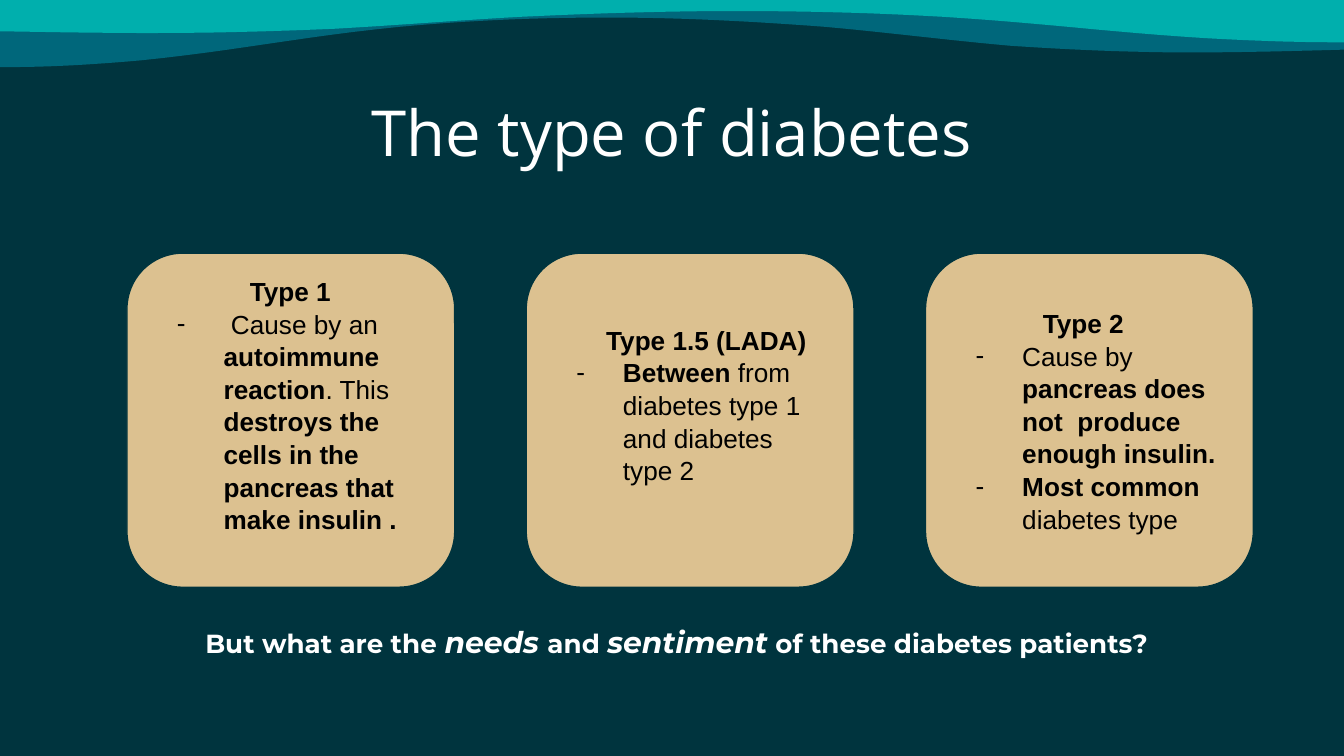
from dataclasses import dataclass

from lxml import etree
from pptx import Presentation
from pptx.dml.color import RGBColor
from pptx.enum.shapes import MSO_SHAPE
from pptx.enum.text import MSO_ANCHOR, MSO_AUTO_SIZE, PP_ALIGN
from pptx.oxml.ns import qn
from pptx.util import Pt

ROUNDED = MSO_SHAPE.ROUNDED_RECTANGLE
TOP, MIDDLE = MSO_ANCHOR.TOP, MSO_ANCHOR.MIDDLE
LEFT, CENTER = PP_ALIGN.LEFT, PP_ALIGN.CENTER
FIT_SHAPE, NO_FIT = MSO_AUTO_SIZE.SHAPE_TO_FIT_TEXT, MSO_AUTO_SIZE.NONE


@dataclass(frozen=True)
class Theme:
    """Colours, fonts and type sizes of the deck."""
    night: RGBColor = RGBColor(0x00, 0x34, 0x3E)
    ocean: RGBColor = RGBColor(0x00, 0x67, 0x7B)
    teal: RGBColor = RGBColor(0x00, 0xAF, 0xAD)
    sand: RGBColor = RGBColor(0xDC, 0xC1, 0x90)
    white: RGBColor = RGBColor(0xFF, 0xFF, 0xFF)
    black: RGBColor = RGBColor(0x00, 0x00, 0x00)
    title_font: str = "Open Sans"
    card_font: str = "Arial"
    question_font: str = "Montserrat"
    title_size: int = 34
    text_size: int = 14
    accent_size: int = 16


THEME = Theme()
PAGE_WIDTH, PAGE_HEIGHT = 720, 405
WAVE_TOP = -1.5
WAVE_START = (0, 36)
WAVE_CURVES = [
    [(29, 36), (50, 34.5), (75, 32.4)],
    [(125, 27.4), (163, 19.4), (214, 14.4)],
    [(245, 11.5), (281, 9.4), (326, 9.4)],
    [(365, 9.4), (404, 11.5), (442, 14.4)],
    [(475, 17.3), (508, 21.6), (541, 24.5)],
    [(572, 26.6), (605, 28.1), (638, 28.1)],
    [(665, 28.1), (691, 27.4), (720, 26.6)],
]
CURVE_STEPS = 12
CARD_LEFT, CARD_TOP, CARD_PITCH = 68, 135.6, 213.9
CARD_WIDTH, CARD_HEIGHT = 175.6, 179
INSET, BLANK_LINE = 7.2, 16.8
CARDS = [
    ("Type 1", 50, BLANK_LINE, [
        [(" Cause by an ", False), ("autoimmune reaction", True), (". This ", False),
         ("destroys the cells in the pancreas that make insulin .", True)],
    ]),
    ("Type 1.5 (LADA)", 27, BLANK_LINE, [
        [("Between", True), (" from diabetes type 1 and diabetes type 2", False)],
    ]),
    ("Type 2", 47, 0, [
        [("Cause by ", False), ("pancreas does not  produce enough insulin.", True)],
        [("Most common", True), (" diabetes type", False)],
    ]),
]
QUESTION = [("But what are the ", False), ("needs ", True), ("and ", False),
            ("sentiment", True), (" of these diabetes patients?", False)]


def apply_format(target, values):
    """Set each named attribute of the target."""
    for name, value in values.items():
        setattr(target, name, value)


def add_span(para, text, color, **values):
    """Append formatted text to a paragraph."""
    span = para.add_run()
    span.text = text
    apply_format(span.font, values)
    span.font.color.rgb = color


def format_frame(frame, anchor, fit=NO_FIT, extra_bottom=0):
    """Set the margins, anchor and fit of a text frame."""
    apply_format(frame, {
        "margin_left": Pt(INSET), "margin_right": Pt(INSET), "margin_top": Pt(INSET),
        "margin_bottom": Pt(INSET + extra_bottom), "word_wrap": True,
        "vertical_anchor": anchor, "auto_size": fit,
    })


def bezier_point(points, t):
    """Return the point at t on a cubic curve."""
    weights = ((1 - t) ** 3, 3 * t * (1 - t) ** 2, 3 * t * t * (1 - t), t ** 3)
    return tuple(sum(w * p[axis] for w, p in zip(weights, points)) for axis in (0, 1))


def wave_edge():
    """Trace the lower edge of the large wave."""
    edge = [WAVE_START]
    for curve in WAVE_CURVES:
        points = [edge[-1], *curve]
        edge += [bezier_point(points, step / CURVE_STEPS)
                 for step in range(1, CURVE_STEPS + 1)]
    return edge


def add_wave(page, edge, color):
    """Fill the band between the top of the page and an edge."""
    outline = [*edge, (edge[-1][0], WAVE_TOP), (edge[0][0], WAVE_TOP)]
    points = [(Pt(x), Pt(y)) for x, y in outline]
    builder = page.shapes.build_freeform(*points[0])
    builder.add_line_segments(points[1:], close=True)
    wave = builder.convert_to_shape()
    wave.shadow.inherit = False
    wave.fill.solid()
    wave.fill.fore_color.rgb = color
    wave.line.fill.background()


def add_title(page, text):
    """Place and format the slide title."""
    title = page.shapes.title
    apply_format(title, {"left": Pt(56), "top": Pt(42.5), "width": Pt(608), "height": Pt(48)})
    format_frame(title.text_frame, TOP)
    para = title.text_frame.paragraphs[0]
    para.alignment = CENTER
    add_span(para, text, THEME.white, name=THEME.title_font, size=Pt(THEME.title_size))


def indent(para, margin, first=0):
    """Set the left margin and first line indent of a paragraph."""
    properties = para._p.get_or_add_pPr()
    properties.set("marL", str(Pt(margin)))
    properties.set("indent", str(Pt(first)))
    return properties


def add_dash(para):
    """Give a paragraph a hanging dash bullet."""
    properties = indent(para, 36, -25)
    color = etree.SubElement(properties, qn("a:buClr"))
    etree.SubElement(color, qn("a:srgbClr"), val=str(THEME.black))
    etree.SubElement(properties, qn("a:buFont"), typeface=THEME.card_font)
    etree.SubElement(properties, qn("a:buChar"), char="-")


def add_card(page, left, heading, heading_indent, extra_bottom, items):
    """Add a rounded card with a heading and dashed items."""
    card = page.shapes.add_shape(ROUNDED, Pt(left), Pt(CARD_TOP),
                                 Pt(CARD_WIDTH), Pt(CARD_HEIGHT))
    card.adjustments[0] = 0.17
    card.shadow.inherit = False
    card.fill.solid()
    card.fill.fore_color.rgb = THEME.sand
    card.line.color.rgb = THEME.night
    card.line.width = Pt(0.75)
    frame = card.text_frame
    format_frame(frame, MIDDLE, extra_bottom=extra_bottom)
    para = frame.paragraphs[0]
    indent(para, heading_indent)
    for spans in [[(heading, True)], *items]:
        if para is None:
            para = frame.add_paragraph()
            add_dash(para)
        apply_format(para, {"alignment": LEFT, "line_spacing": 1.04})
        for text, bold in spans:
            add_span(para, text, THEME.black, name=THEME.card_font,
                     size=Pt(THEME.text_size), bold=bold)
        para = None


def add_question(page):
    """Add the closing question with its accented words."""
    box = page.shapes.add_textbox(Pt(58.5), Pt(327), Pt(608), Pt(34))
    format_frame(box.text_frame, TOP, FIT_SHAPE)
    para = box.text_frame.paragraphs[0]
    para.alignment = CENTER
    for text, accent in QUESTION:
        size = THEME.accent_size if accent else THEME.text_size
        add_span(para, text, THEME.white, name=THEME.question_font,
                 size=Pt(size), bold=True, italic=accent)


def main():
    """Build and save the deck."""
    deck = Presentation()
    apply_format(deck, {"slide_width": Pt(PAGE_WIDTH), "slide_height": Pt(PAGE_HEIGHT)})
    page = deck.slides.add_slide(deck.slide_layouts[5])
    page.background.fill.solid()
    page.background.fill.fore_color.rgb = THEME.night
    edge = wave_edge()
    add_wave(page, edge, THEME.ocean)
    add_wave(page, [(PAGE_WIDTH - x, 0.63 * y) for x, y in edge], THEME.teal)
    add_title(page, "The type of diabetes")
    for index, card in enumerate(CARDS):
        add_card(page, CARD_LEFT + index * CARD_PITCH, *card)
    add_question(page)
    deck.save("out.pptx")


if __name__ == "__main__":
    main()
